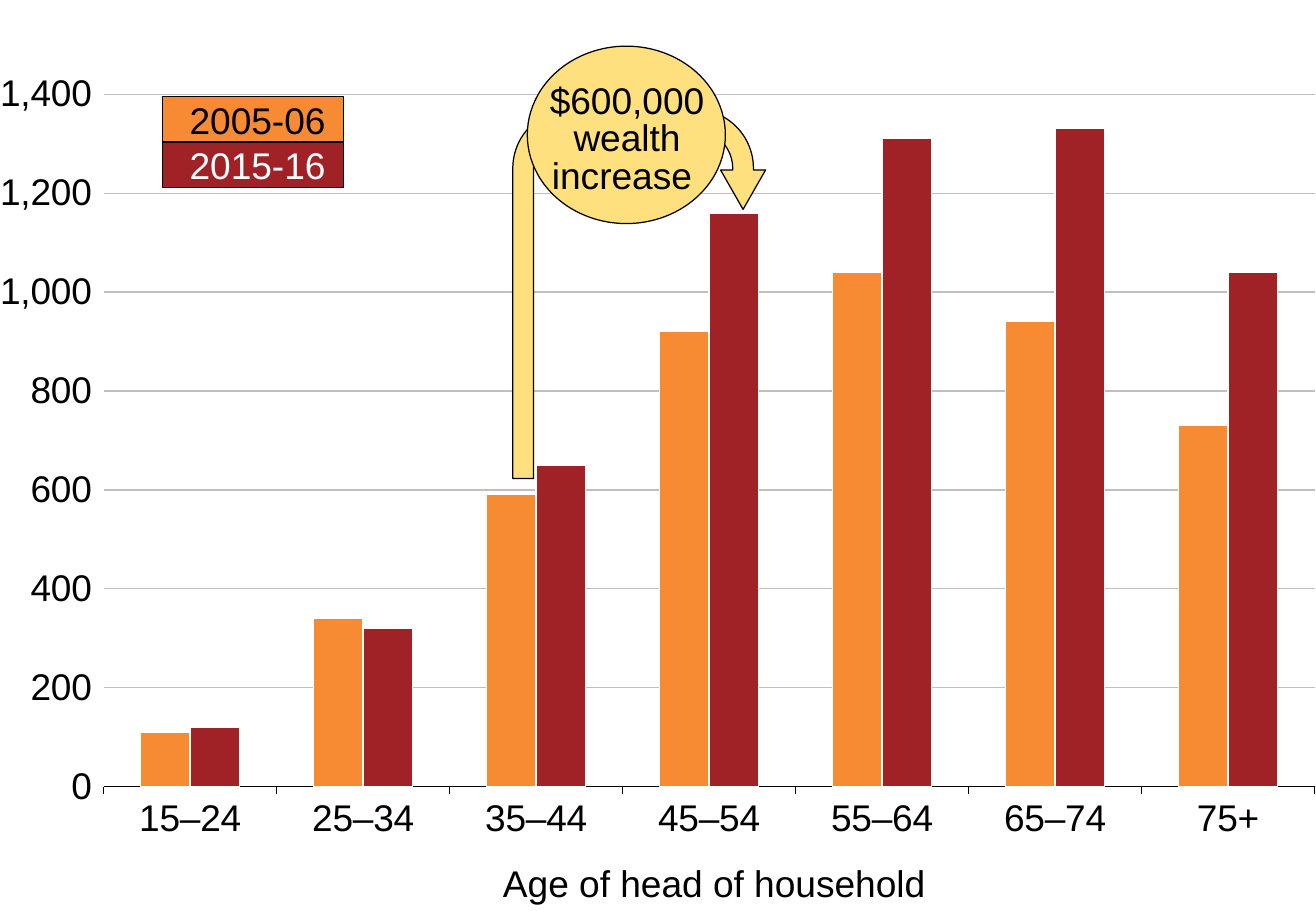
from lxml import etree
from pptx import Presentation
from pptx.chart.data import CategoryChartData
from pptx.dml.color import RGBColor
from pptx.enum.chart import XL_CHART_TYPE as ChartType, XL_TICK_MARK as TickMark
from pptx.enum.shapes import MSO_SHAPE as Preset
from pptx.enum.text import MSO_ANCHOR as Anchor, PP_ALIGN as Align
from pptx.oxml.ns import qn
from pptx.util import Inches, Pt

COLOURS = {
    "text": "000000",
    "paper": "FFFFFF",
    "grid": "BFBFBF",
    "earlier": "F68B33",
    "later": "A02226",
    "callout": "FFE07F",
}
AGES = ["15–24", "25–34", "35–44", "45–54", "55–64", "65–74", "75+"]
WEALTH = {
    "2005-06": ("earlier", "text", [110, 340, 590, 920, 1040, 940, 730]),
    "2015-16": ("later", "paper", [120, 320, 650, 1160, 1310, 1330, 1040]),
}
PLOT_AREA = {"x": 0.077, "y": 0.027, "w": 0.922, "h": 0.873}


class SlideBuilder:
    """Draws on one slide; every box is left, top, width, height in percent."""

    font_name = "Arial"
    font_size = Pt(22)
    line_width = Pt(0.75)

    def __init__(self, presentation):
        self.width = presentation.slide_width
        self.height = presentation.slide_height
        self.slide = presentation.slides.add_slide(presentation.slide_layouts[6])

    def place(self, box):
        sides = (self.width, self.height) * 2
        return [round(side * share / 100) for side, share in zip(sides, box)]

    def colour(self, name):
        return RGBColor.from_string(COLOURS[name])

    def style_font(self, font, colour="text"):
        font.name = self.font_name
        font.size = self.font_size
        font.color.rgb = self.colour(colour)

    def style_line(self, line, colour="text"):
        line.color.rgb = self.colour(colour)
        line.width = self.line_width

    def style_fill(self, fill, colour):
        fill.solid()
        fill.fore_color.rgb = self.colour(colour)

    def label(self, shape, text, colour="text", spacing=None, inset=0, anchor=Anchor.TOP):
        frame = shape.text_frame
        frame.word_wrap = True
        frame.vertical_anchor = anchor
        frame.margin_left = Inches(inset)
        frame.margin_top = frame.margin_right = frame.margin_bottom = 0
        paragraph = frame.paragraphs[0]
        paragraph.alignment = Align.CENTER
        paragraph.line_spacing = spacing
        run = paragraph.add_run()
        run.text = text
        self.style_font(run.font, colour)

    def text(self, box, text, spacing=None):
        self.label(self.slide.shapes.add_textbox(*self.place(box)), text, spacing=spacing)

    def shape(self, preset, box, fill, adjustments=()):
        shape = self.slide.shapes.add_shape(preset, *self.place(box))
        shape.shadow.inherit = False
        self.style_fill(shape.fill, fill)
        self.style_line(shape.line)
        for index, value in enumerate(adjustments):
            shape.adjustments[index] = value
        return shape

    def column_chart(self, box):
        data = CategoryChartData(number_format="#,##0")
        data.categories = AGES
        for period, (_, _, values) in WEALTH.items():
            data.add_series(period, values)
        chart = self.slide.shapes.add_chart(
            ChartType.COLUMN_CLUSTERED, *self.place(box), data).chart
        chart.has_legend = chart.has_title = False
        self.style_font(chart.font)

        plot = chart.plots[0]
        plot.gap_width = 150
        plot.overlap = 0
        plot.vary_by_categories = False
        for series, (fill, _, _) in zip(plot.series, WEALTH.values()):
            series.invert_if_negative = False
            self.style_fill(series.format.fill, fill)
            self.style_line(series.format.line, "paper")

        for axis in (chart.category_axis, chart.value_axis):
            axis.major_tick_mark = TickMark.OUTSIDE
            axis.minor_tick_mark = TickMark.NONE
            self.style_font(axis.tick_labels.font)
        self.style_line(chart.category_axis.format.line)

        values = chart.value_axis
        values.minimum_scale, values.maximum_scale, values.major_unit = 0, 1400, 200
        values.tick_labels.number_format = "#,##0"
        values.tick_labels.number_format_is_linked = False
        values.format.line.fill.background()
        self.style_line(values.major_gridlines.format.line, "grid")
        self.fix_plot_area(chart)

    def fix_plot_area(self, chart):
        plot_area = chart.element.find(".//" + qn("c:plotArea"))
        for layout in plot_area.findall(qn("c:layout")):
            plot_area.remove(layout)
        layout = etree.Element(qn("c:layout"))
        plot_area.insert(0, layout)
        manual = etree.SubElement(layout, qn("c:manualLayout"))
        settings = {"layoutTarget": "inner", "xMode": "edge", "yMode": "edge", **PLOT_AREA}
        for tag, value in settings.items():
            etree.SubElement(manual, qn("c:" + tag)).set("val", str(value))


def main():
    presentation = Presentation()
    presentation.slide_width = Inches(10.83)
    presentation.slide_height = Inches(7.5)
    builder = SlideBuilder(presentation)

    builder.column_chart((0, 8, 100, 87.07))
    builder.text((9.33, 94.4, 90.67, 4.93), "Age of head of household ")

    key_height = 4.97
    for row, (period, (fill, colour, _)) in enumerate(WEALTH.items()):
        key = builder.shape(
            Preset.RECTANGLE, (12.37, 10.63 + row * key_height, 13.76, key_height), fill)
        builder.label(key, period, colour, inset=0.07, anchor=Anchor.MIDDLE)

    builder.shape(Preset.U_TURN_ARROW, (38.97, 12, 19.21, 40.53), "callout",
                  (0.082, 0.089, 0.156, 0.233, 0.271))
    builder.shape(Preset.OVAL, (40.07, 5.07, 15.05, 19.47), "callout")
    builder.text((40.54, 9.2, 14.22, 12.53), "$600,000 wealth increase ", spacing=0.85)

    presentation.save("out.pptx")


if __name__ == "__main__":
    main()
